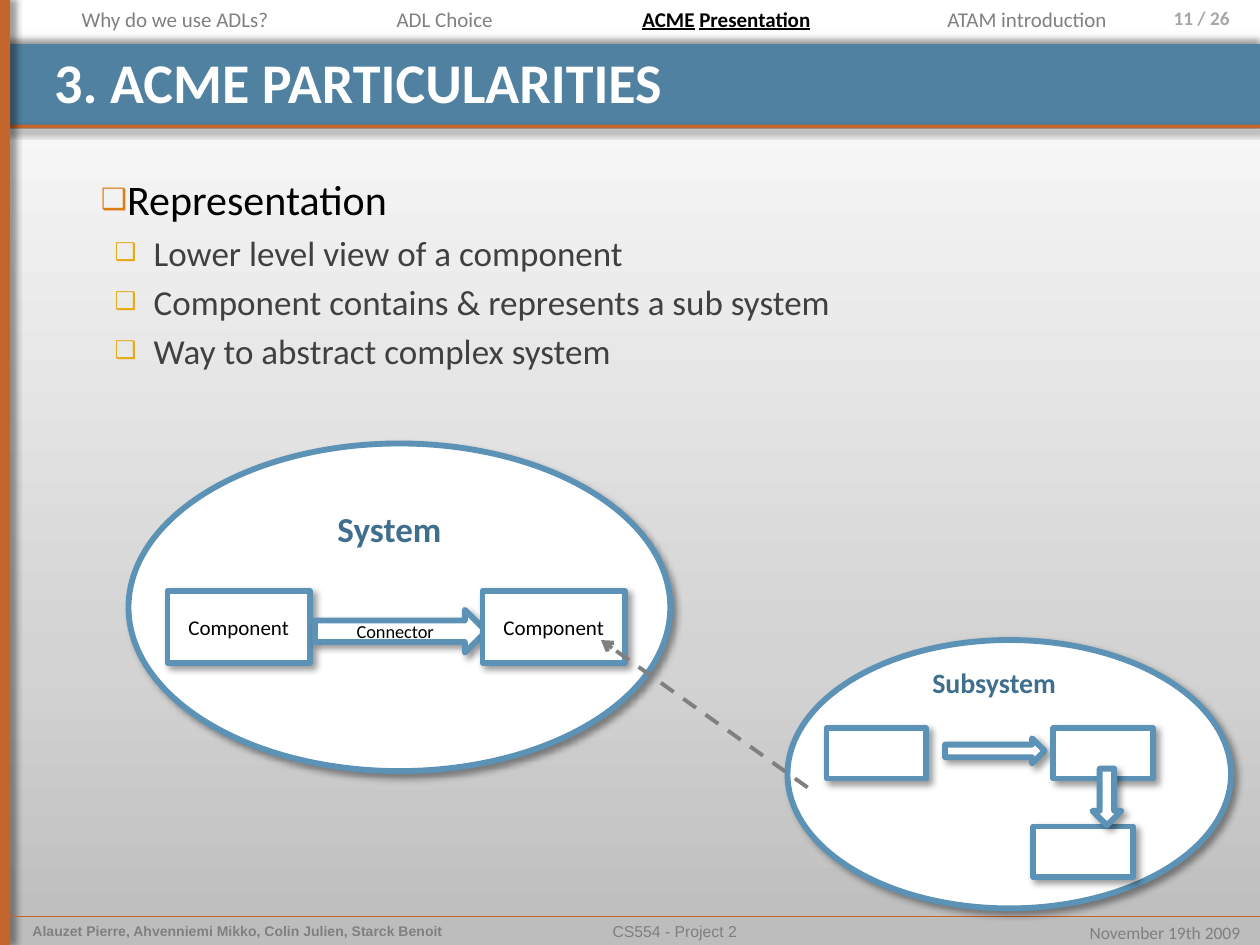
from lxml import etree
from pptx import Presentation, util as u
from pptx.dml.color import RGBColor
from pptx.enum import dml, shapes, text
from pptx.oxml import parse_xml
from pptx.oxml.ns import nsdecls, qn

BLUE, ORANGE, WHITE, GREY = "5C92B5", "C4652D", "FFFFFF", "808080"
RECT = shapes.MSO_SHAPE.RECTANGLE
OVAL = shapes.MSO_SHAPE.OVAL
ARROW = shapes.MSO_SHAPE.RIGHT_ARROW
LEFT, CENTER, RIGHT = (text.PP_ALIGN.LEFT, text.PP_ALIGN.CENTER,
                       text.PP_ALIGN.RIGHT)


def rgb(value):
    return RGBColor.from_string(value)


def inches(*values):
    return [u.Inches(v) for v in values]


def add_xml(parent, tag, **attrs):
    return etree.SubElement(parent, qn(tag), attrs)


def style(p, size, color, bold=False, font="Calibri"):
    for r in p.runs:
        r.font.size, r.font.bold, r.font.name = u.Pt(size), bold, font
        r.font.color.rgb = rgb(color)


def set_shadow(sp, direction=None):
    effects = add_xml(sp._element.spPr, "a:effectLst")
    if direction is not None:
        shadow = add_xml(effects, "a:outerShdw", blurRad=str(u.Pt(4)),
                         dist=str(u.Pt(3)), dir=str(direction * 60000))
        color = add_xml(shadow, "a:srgbClr", val="000000")
        add_xml(color, "a:alpha", val="40000")


def set_background(s):
    stops = ((0, "BDBDBD"), (30, "D3D3D3"), (100, WHITE))
    gs = "".join(f'<a:gs pos="{pos * 1000}"><a:srgbClr val="{color}"/></a:gs>'
                 for pos, color in stops)
    bg = parse_xml(
        f'<p:bg {nsdecls("p", "a")}><p:bgPr><a:gradFill><a:gsLst>{gs}</a:gsLst>'
        f'<a:lin ang="{270 * 60000}" scaled="0"/></a:gradFill><a:effectLst/>'
        '</p:bgPr></p:bg>')
    s._element.cSld.insert(0, bg)


def add_bar(s, at, color, direction):
    sp = s.shapes.add_shape(RECT, *inches(*at))
    sp.fill.solid()
    sp.fill.fore_color.rgb = rgb(color)
    sp.line.fill.background()
    set_shadow(sp, direction)


def add_node(s, kind, at, label="", size=12, rotation=0):
    sp = s.shapes.add_shape(kind, *inches(*at))
    sp.rotation = rotation
    sp.fill.solid()
    sp.fill.fore_color.rgb = rgb(WHITE)
    sp.line.color.rgb = rgb(BLUE)
    sp.line.width = u.Pt(3.35)
    add_xml(sp.line._ln, "a:round")
    set_shadow(sp, 45)
    if label:
        tf = sp.text_frame
        tf.text = label
        tf.vertical_anchor = text.MSO_ANCHOR.MIDDLE
        tf.paragraphs[0].alignment = CENTER
        style(tf.paragraphs[0], size, "000000")


def add_text(s, at, words, size, color, bold=False, align=LEFT,
             font="Calibri", wrap=True):
    sp = s.shapes.add_textbox(*inches(*at))
    tf = sp.text_frame
    tf.word_wrap = wrap
    p = tf.paragraphs[0]
    p.text = words
    p.alignment = align
    style(p, size, color, bold, font)
    return sp


def add_line(s, start, end, color, width):
    line = s.shapes.add_connector(shapes.MSO_CONNECTOR.STRAIGHT,
                                  *inches(*start, *end))
    line.line.color.rgb = rgb(color)
    line.line.width = u.Pt(width)
    return line


def place(sp, at):
    sp.left, sp.top, sp.width, sp.height = inches(*at)


def add_title(s):
    title = s.shapes.title
    place(title, (0.33, 0.35, 9.28, 0.58))
    tf = title.text_frame
    tf.text = "3. ACME PARTICULARITIES"
    tf.vertical_anchor = text.MSO_ANCHOR.MIDDLE
    tf.paragraphs[0].alignment = LEFT
    style(tf.paragraphs[0], 32, WHITE, True)


def add_body(s):
    body = s.placeholders[1]
    place(body, (0.31, 1.33, 9.45, 5.86))
    tf = body.text_frame
    tf.text = "\n".join(("Representation", "Lower level view of a component",
                         "Component contains & represents a sub system",
                         "Way to abstract complex system"))
    for i, p in enumerate(tf.paragraphs):
        p.level = min(i, 1)
        margin, indent, size, color, bullet = (
            (0.81, -0.31, 20, "404040", "E5AB1B") if i
            else (0, 0.39, 24, "000000", "DA7E18"))
        style(p, size, color)
        pPr = p._p.get_or_add_pPr()
        pPr.set("marL", str(u.Inches(margin)))
        pPr.set("indent", str(u.Inches(indent)))
        add_xml(add_xml(pPr, "a:buClr"), "a:srgbClr", val=bullet)
        add_xml(pPr, "a:buSzPct", val="70000")
        add_xml(pPr, "a:buChar", char="\u2751")


def add_frame(s):
    add_bar(s, (0, 0.35, 10, 0.67), "5181A0", 270)
    add_bar(s, (0, 0.99, 10, 0.03), ORANGE, 45)
    add_bar(s, (0, 0, 0.08, 7.5), ORANGE, 0)
    set_shadow(add_line(s, (0.08, 7.27), (10, 7.27), ORANGE, 0.25), 45)
    add_text(s, (0.16, 7.27, 3.67, 0.23),
             "Alauzet Pierre, Ahvenniemi Mikko, Colin Julien, Starck Benoit",
             8, GREY, True, font="Arial")
    add_text(s, (2.27, 7.27, 6.17, 0.23), "CS554 - Project 2", 9, "7F7F7F",
             align=CENTER, font="Arial")
    add_text(s, (8.52, 7.27, 1.42, 0.27), "November 19th 2009", 10, "7F7F7F",
             align=RIGHT, wrap=False)
    number = add_text(s, (8.83, 0, 1.17, 0.39), "11 / 26", 11, "A6A6A6", True,
                      RIGHT)
    number.text_frame.margin_right = u.Inches(0.24)


def add_navigation(s):
    for left, width, words in ((0.55, 1.7, "Why do we use ADLs?"),
                               (3.05, 0.97, "ADL Choice"),
                               (7.42, 1.51, "ATAM introduction")):
        add_text(s, (left, 0, width, 0.3), words, 12, GREY, wrap=False)
    current = add_text(s, (5, 0, 1.55, 0.3), "ACME", 12, "000000", wrap=False)
    p = current.text_frame.paragraphs[0]
    for words in (" ", "Presentation"):
        p.add_run().text = words
    style(p, 12, "000000", True)
    for r in p.runs:
        r.font.bold = r.font.underline = r.text != " "


def add_system(s):
    add_node(s, OVAL, (1.02, 3.52, 4.3, 2.6))
    add_node(s, RECT, (1.33, 4.69, 1.13, 0.57), "Component")
    add_node(s, ARROW, (2.5, 4.84, 1.36, 0.34), "Connector", 10.5)
    add_node(s, RECT, (3.83, 4.69, 1.13, 0.57), "Component")
    add_text(s, (2.58, 3.98, 1.15, 0.44), "System", 20, "406F8D", True)


def add_subsystem(s):
    add_node(s, OVAL, (6.25, 5.08, 3.52, 2.13))
    add_text(s, (6.95, 5.23, 1.88, 0.37), "Subsystem", 16, "406F8D", True,
             CENTER)
    add_node(s, ARROW, (7.5, 5.86, 0.79, 0.2))
    for left, top in ((6.56, 5.78), (8.36, 5.78), (8.2, 6.56)):
        add_node(s, RECT, (left, top, 0.79, 0.4))
    add_node(s, ARROW, (8.56, 6.21, 0.45, 0.23), rotation=90)


def add_representation_link(s):
    link = add_line(s, (6.41, 6.25), (4.77, 5.08), GREY, 2.25)
    link.line.dash_style = dml.MSO_LINE.DASH
    add_xml(link.line._ln, "a:tailEnd", type="arrow")
    set_shadow(link)


def main():
    prs = Presentation()
    prs.slide_width, prs.slide_height = inches(10, 7.5)
    s = prs.slides.add_slide(prs.slide_layouts[1])
    set_background(s)
    add_frame(s)
    for holder in (s.shapes.title, s.placeholders[1]):
        s.shapes._spTree.append(holder._element)
    add_title(s)
    add_body(s)
    add_system(s)
    add_subsystem(s)
    add_navigation(s)
    add_representation_link(s)
    prs.save("out.pptx")


main()
